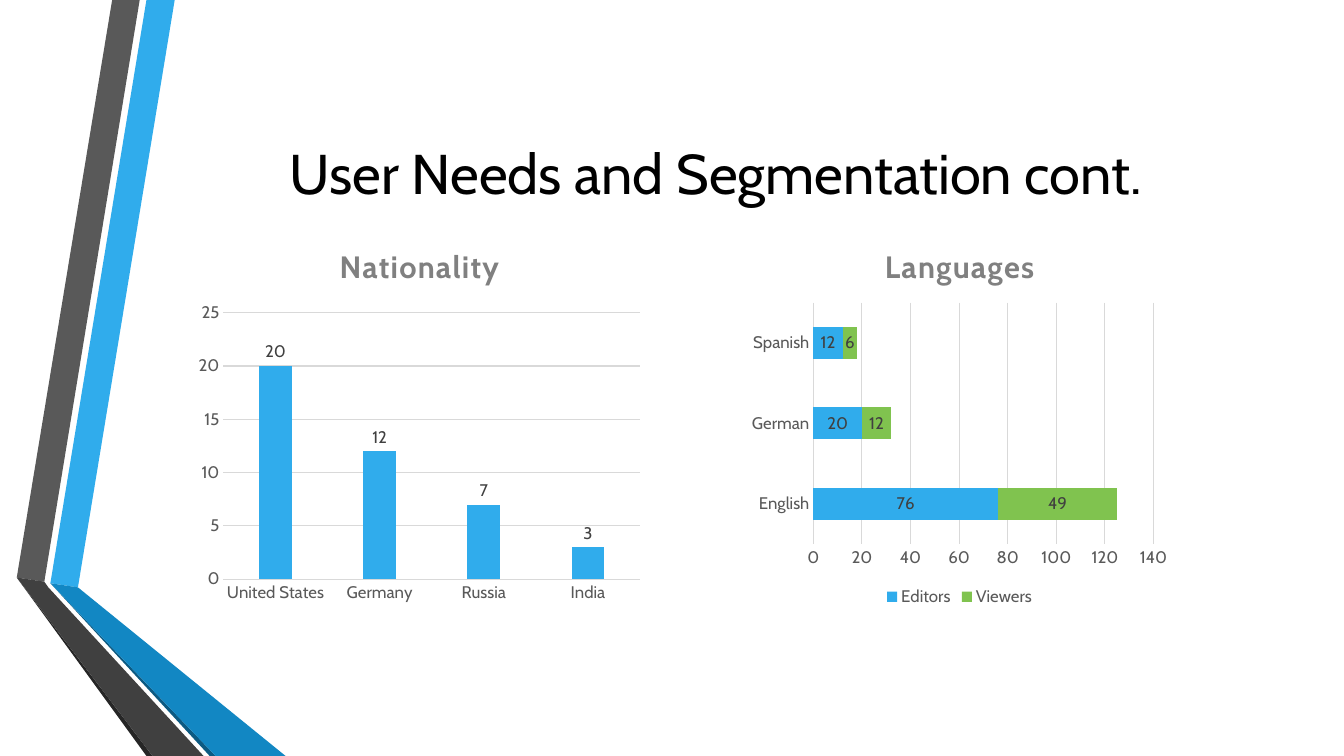
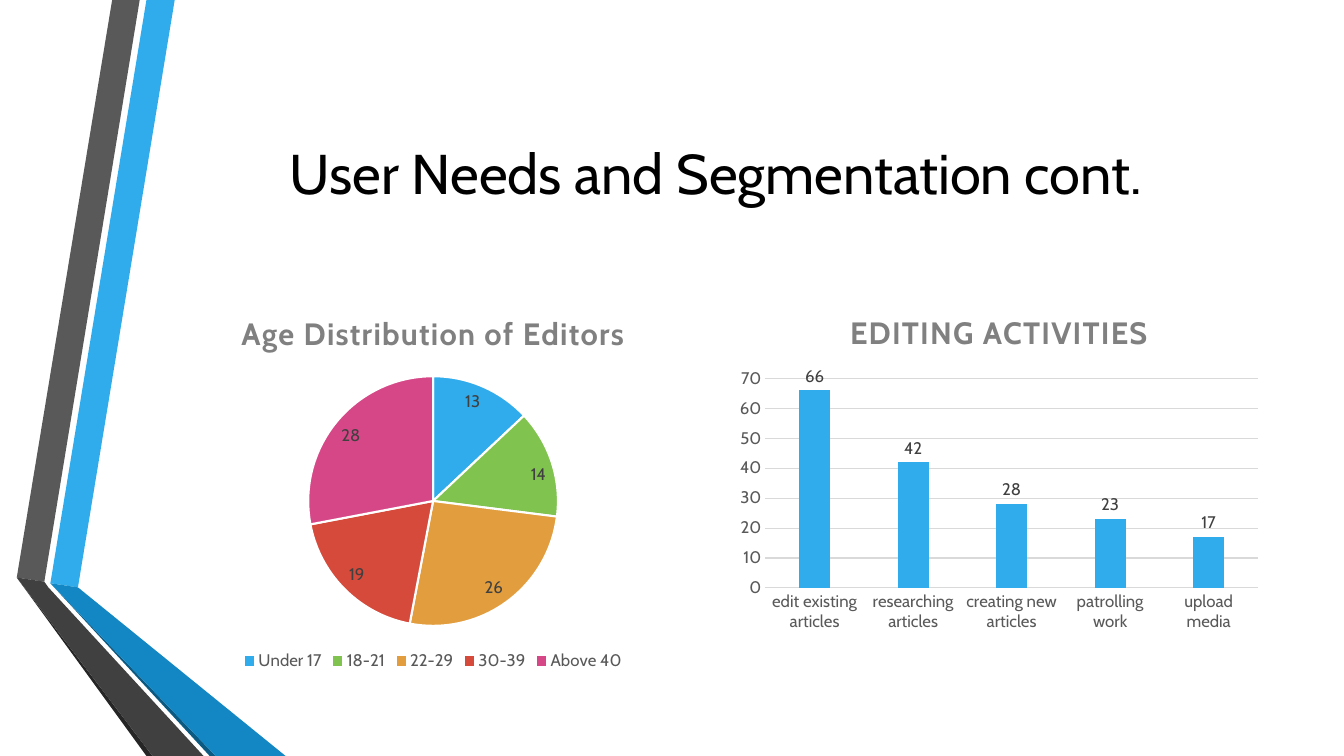
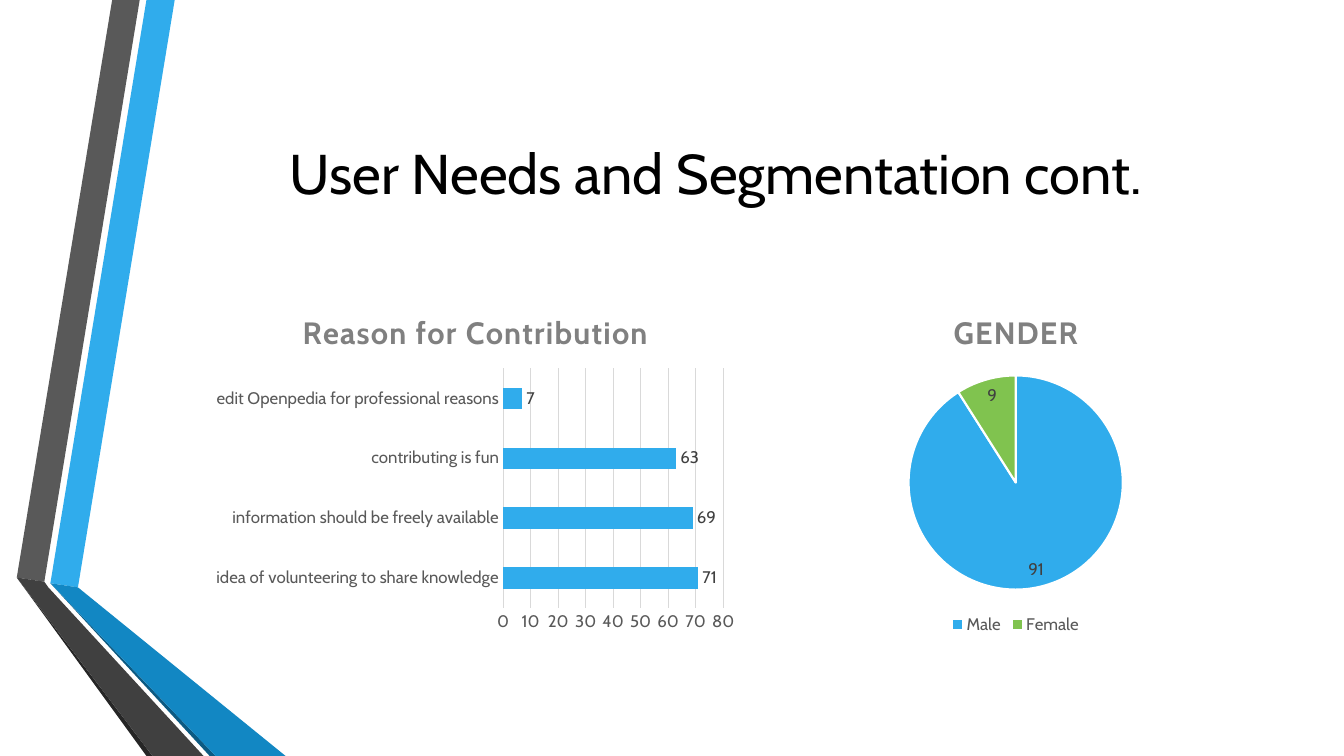
from dataclasses import dataclass

from pptx import Presentation, util as u
from pptx.chart.data import CategoryChartData
from pptx.dml.color import RGBColor
from pptx.enum import chart as charts, text

Kind = charts.XL_CHART_TYPE
Position = charts.XL_LABEL_POSITION


@dataclass(frozen=True)
class Theme:
    font: str = "Cabin"
    title_size: int = 40
    chart_title_size: int = 22
    label_size: int = 12
    title: str = "000000"
    chart_title: str = "808080"
    axis_text: str = "595959"
    label_text: str = "404040"
    grid: str = "D9D9D9"
    paper: str = "FFFFFF"
    series: tuple = ("30ACEC", "80C34F", "E29D3E", "D64A3B", "D64787")


THEME = Theme()
WIDTH, HEIGHT = u.Inches(13.33), u.Inches(7.5)

# Boxes and points are percentages of the slide's width and height
TITLE_BOX = (12.15, 10, 82.2, 25.6)
TITLE = "User Needs and Segmentation cont."

# Corners where the ribbons fold
GREY_FOLD, GREY_INNER = (1.25, 76.4), (3.3, 76.95)
BLUE_FOLD, BLUE_INNER = (3.75, 77.15), (5.8, 77.7)
RIBBONS = [
    ("30ACEC", [BLUE_FOLD, BLUE_INNER, (13, 0), (10.9, 0)]),
    ("595959", [GREY_FOLD, GREY_INNER, (10.4, 0), (8.35, 0)]),
    ("262626", [GREY_FOLD, (10.9, 100), (11.35, 100)]),
    ("0C5A82", [BLUE_FOLD, (15.6, 100), (16.05, 100)]),
    ("1287C3", [BLUE_FOLD, (16.05, 100), (21.25, 100), BLUE_INNER]),
    ("404040", [GREY_FOLD, (11.35, 100), (15.15, 100), (3.6, 77.7), GREY_INNER]),
]

# Each chart: box, kind, title, categories, series
SLIDES = [
    [
        ((14.1, 30, 34.2, 50.8), Kind.COLUMN_CLUSTERED, "Nationality",
         ["United States", "Germany", "Russia", "India"],
         {"Series 1": [20, 12, 7, 3]}),
        ((55.3, 30, 32.2, 50.8), Kind.BAR_STACKED, "Languages",
         ["English", "German", "Spanish"],
         {"Editors": [76, 20, 12], "Viewers": [49, 12, 6]}),
    ],
    [
        ((12.15, 38.9, 40.15, 50.4), Kind.PIE, "Age Distribution of Editors",
         ["Under 17", "18-21", "22-29", "30-39", "Above 40"],
         {"Series 1": [13, 14, 26, 19, 28]}),
        ((54.25, 38.9, 40.15, 45.6), Kind.COLUMN_CLUSTERED, "EDITING ACTIVITIES",
         ["edit existing articles", "researching articles",
          "creating new articles", "patrolling work", "upload media"],
         {"EDITING ACTIVITIES": [66, 42, 28, 23, 17]}),
    ],
    [
        ((15.3, 38.9, 40.15, 45.6), Kind.BAR_CLUSTERED, "Reason for Contribution",
         ["idea of volunteering to share knowledge",
          "information should be freely available",
          "contributing is fun",
          "edit Openpedia for professional reasons"],
         {"Reason for Contribution": [71, 69, 63, 7]}),
        ((55.5, 38.9, 40.15, 45.6), Kind.PIE, "GENDER",
         ["Male", "Female"], {"Series 1": [91, 9]}),
    ],
]

# Gap width, overlap and label position for each kind of bar chart
BAR_STYLES = {
    Kind.COLUMN_CLUSTERED: (219, -27, Position.OUTSIDE_END),
    Kind.BAR_CLUSTERED: (182, 0, Position.OUTSIDE_END),
    Kind.BAR_STACKED: (150, 100, Position.CENTER),
}


def place(x, y):
    return round(WIDTH * x / 100), round(HEIGHT * y / 100)


def place_box(box):
    return place(*box[:2]) + place(*box[2:])


def set_font(font, size, color, bold=False):
    font.name, font.size, font.bold = THEME.font, u.Pt(size), bold
    font.color.rgb = RGBColor.from_string(color)


def set_fill(fill, color):
    fill.solid()
    fill.fore_color.rgb = RGBColor.from_string(color)


def set_line(line, color, width):
    set_fill(line.fill, color)
    line.width = u.Pt(width)


def add_ribbons(slide, layout):
    """Draw the folded ribbons once and keep them on the shared layout."""
    group = slide.shapes.add_group_shape()
    for color, points in RIBBONS:
        start, *others = [place(*point) for point in points]
        builder = group.shapes.build_freeform(*start)
        builder.add_line_segments(others, close=True)
        shape = builder.convert_to_shape()
        shape.shadow.inherit = False
        set_fill(shape.fill, color)
        shape.line.fill.background()
    layout.shapes.element.append(group.element)


def add_title(slide):
    frame = slide.shapes.add_textbox(*place_box(TITLE_BOX)).text_frame
    frame.word_wrap = True
    frame.vertical_anchor = text.MSO_ANCHOR.MIDDLE
    paragraph = frame.paragraphs[0]
    paragraph.text = TITLE
    paragraph.alignment = text.PP_ALIGN.CENTER
    set_font(paragraph.font, THEME.title_size, THEME.title)


def style_chart_title(chart, title):
    chart.has_title = True
    paragraph = chart.chart_title.text_frame.paragraphs[0]
    paragraph.text = title
    set_font(paragraph.font, THEME.chart_title_size, THEME.chart_title, bold=True)
    # Letter spacing of one point
    for properties in chart.element.xpath(".//c:title//a:defRPr"):
        properties.set("spc", "100")


def style_axes(chart):
    for axis in (chart.category_axis, chart.value_axis):
        axis.major_tick_mark = axis.minor_tick_mark = charts.XL_TICK_MARK.NONE
        set_font(axis.tick_labels.font, THEME.label_size, THEME.axis_text)
    set_line(chart.category_axis.format.line, THEME.grid, 0.75)
    chart.value_axis.format.line.fill.background()
    chart.value_axis.has_major_gridlines = True
    set_line(chart.value_axis.major_gridlines.format.line, THEME.grid, 0.75)


def style_legend(chart):
    chart.has_legend = True
    chart.legend.position = charts.XL_LEGEND_POSITION.BOTTOM
    chart.legend.include_in_layout = False
    set_font(chart.legend.font, THEME.label_size, THEME.axis_text)


def style_labels(series, position):
    labels = series.data_labels
    labels.show_value = True
    labels.position = position
    set_font(labels.font, THEME.label_size, THEME.label_text)


def add_chart(slide, box, kind, title, categories, values):
    data = CategoryChartData()
    data.categories = categories
    for name, numbers in values.items():
        data.add_series(name, numbers)
    chart = slide.shapes.add_chart(kind, *place_box(box), data).chart
    set_font(chart.font, THEME.label_size, THEME.axis_text)
    style_chart_title(chart, title)

    is_pie = kind == Kind.PIE
    plot = chart.plots[0]
    plot.vary_by_categories = is_pie
    chart.has_legend = False
    if is_pie or len(values) > 1:
        style_legend(chart)

    if is_pie:
        series = plot.series[0]
        style_labels(series, Position.INSIDE_END)
        for index, color in enumerate(THEME.series[:len(categories)]):
            point = series.points[index]
            set_fill(point.format.fill, color)
            set_line(point.format.line, THEME.paper, 1.5)
        return

    style_axes(chart)
    plot.gap_width, plot.overlap, position = BAR_STYLES[kind]
    for series, color in zip(plot.series, THEME.series):
        set_fill(series.format.fill, color)
        style_labels(series, position)


def main():
    presentation = Presentation()
    presentation.slide_width, presentation.slide_height = WIDTH, HEIGHT
    blank = presentation.slide_layouts[6]
    for number, chart_list in enumerate(SLIDES):
        slide = presentation.slides.add_slide(blank)
        if number == 0:
            add_ribbons(slide, blank)
        add_title(slide)
        for chart_details in chart_list:
            add_chart(slide, *chart_details)
    presentation.save("out.pptx")


if __name__ == "__main__":
    main()
